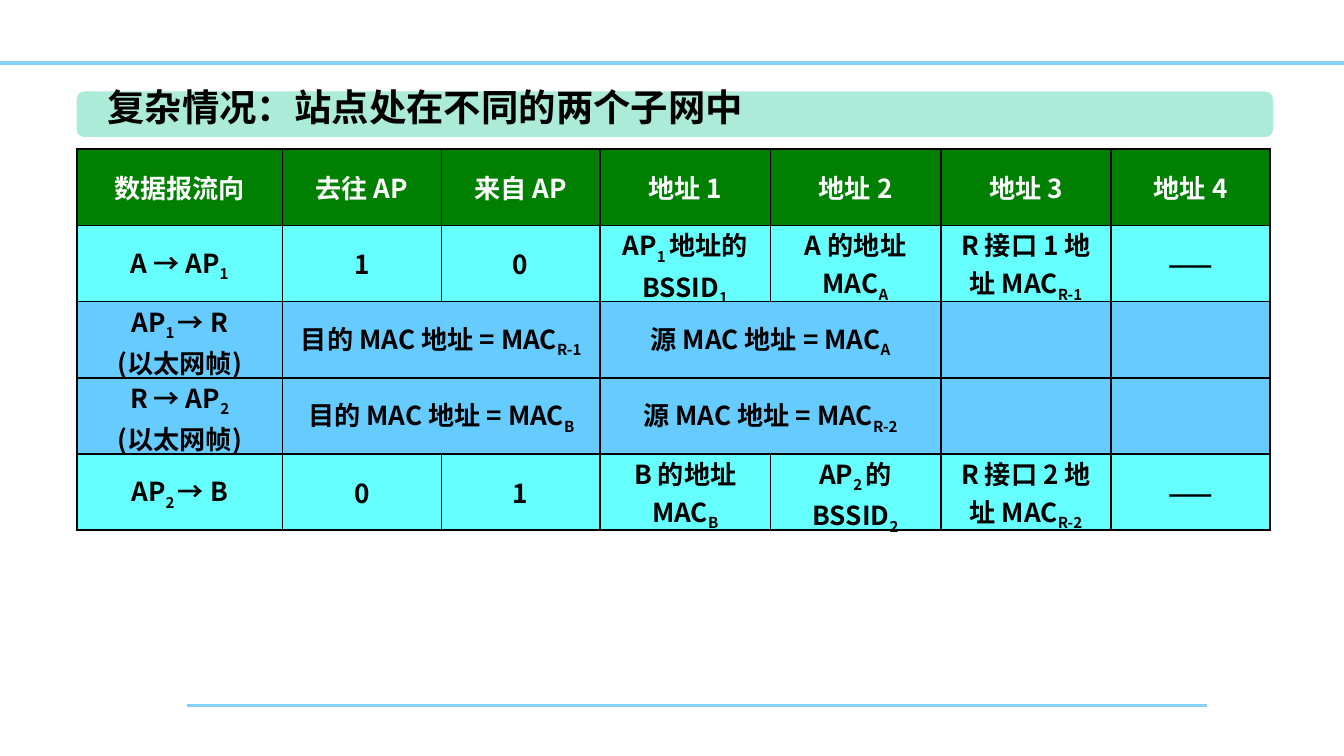
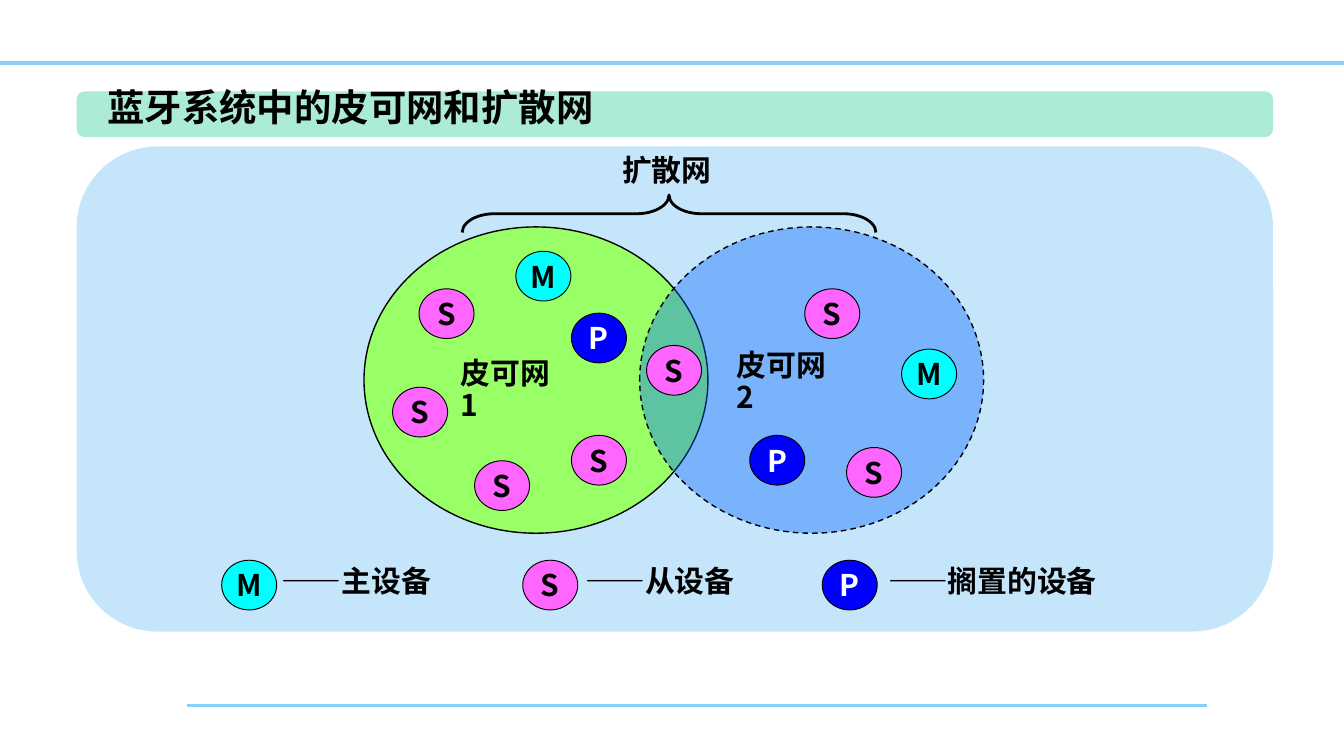
from lxml import etree
from pptx import Presentation
from pptx.dml.color import RGBColor
from pptx.enum.dml import MSO_LINE
from pptx.enum.shapes import MSO_CONNECTOR, MSO_SHAPE
from pptx.enum.text import MSO_ANCHOR, MSO_AUTO_SIZE, PP_ALIGN
from pptx.oxml.ns import qn
from pptx.util import Cm, Pt

ROUNDED, OVAL, BRACE = MSO_SHAPE.ROUNDED_RECTANGLE, MSO_SHAPE.OVAL, MSO_SHAPE.RIGHT_BRACE
STRAIGHT = MSO_CONNECTOR.STRAIGHT
CENTER, MIDDLE = PP_ALIGN.CENTER, MSO_ANCHOR.MIDDLE
GROW, DASH = MSO_AUTO_SIZE.SHAPE_TO_FIT_TEXT, MSO_LINE.DASH

FONT = "Noto Sans CJK SC"
BLACK, WHITE = "000000", "FFFFFF"
RULE, BAND, PANEL = "85D1F7", "ABEBD7", "C5E5FB"
HEADER, WIRELESS, ETHERNET = "008000", "66FFFF", "66CCFF"

# x from, x to, y, width in points
RULES = [(3.53, 22.81, 13.34, 1.5), (0, 25.4, 1.19, 2)]

# Subscripts stand between tildes; None continues the cell to its left.
FRAME_TITLE = "复杂情况：站点处在不同的两个子网中"
FRAME_COLUMNS = [3.89, 3, 3, 3.22, 3.22, 3.22, 3]
FRAME_ROW_HEIGHT = 1.44
FRAME_ROWS = [
    (HEADER, ["数据报流向", "去往 AP", "来自 AP", "地址 1", "地址 2", "地址 3", "地址 4"]),
    (WIRELESS, ["A → AP~1~", "1", "0", "AP~1 ~地址的 BSSID~1~", "A 的地址 MAC~A~",
                "R 接口 1 地址 MAC~R-1~", "——"]),
    (ETHERNET, ["AP~1 ~→ R\n(以太网帧)", "目的 MAC 地址 = MAC~R-1~", None,
                "源 MAC 地址 = MAC~A~", None, "", ""]),
    (ETHERNET, ["R → AP~2~\n(以太网帧)", "目的 MAC 地址 = MAC~B~", None,
                "源 MAC 地址 = MAC~R-2~", None, "", ""]),
    (WIRELESS, ["AP~2 ~→ B", "0", "1", "B 的地址 MAC~B~", "AP~2 ~的BSSID~2~",
                "R 接口 2 地址 MAC~R-2~", "——"]),
]

PICONET_TITLE = "蓝牙系统中的皮可网和扩散网"
DEVICE_COLORS = {"M": ("00FFFF", BLACK), "S": ("FF66FF", BLACK), "P": ("0000FF", WHITE)}
DEVICE_SIZE = (1.04, 0.94)
DEVICES = {
    "M": [(9.75, 4.75), (17.04, 6.6)],
    "S": [(7.42, 7.32), (7.92, 5.46), (12.22, 6.53), (10.8, 8.23),
          (8.97, 8.71), (16, 8.46), (15.21, 5.46)],
    "P": [(14.17, 8.23), (10.8, 5.92)],
}
LEGEND_TOP = 10.59
# kind, device left, label left, label width, label
LEGEND = [("M", 4.19, 5.08, 3.45, "——主设备"),
          ("S", 9.88, 10.82, 3.45, "——从设备"),
          ("P", 15.54, 16.54, 4.6, "——搁置的设备")]
PICONET_LABELS = [("皮可网 1", 8.46, 6.65), ("皮可网 2", 13.67, 6.5)]


def rgb(color):
    return RGBColor.from_string(color)


def cm(*lengths):
    return [Cm(length) for length in lengths]


def add_run(paragraph, text, size, color=BLACK, subscript=False):
    run = paragraph.add_run()
    run.text = text
    for name, value in {"size": Pt(size), "bold": True, "name": FONT}.items():
        setattr(run.font, name, value)
    run.font.color.rgb = rgb(color)
    properties = run.font._element
    etree.SubElement(properties, qn("a:ea"), typeface=FONT)
    if subscript:
        properties.set("baseline", "-25000")


def add_figure(slide, kind, box, fill=None, line=None):
    shape = slide.shapes.add_shape(kind, *cm(*box))
    shape.shadow.inherit = False
    if fill:
        shape.fill.solid()
        shape.fill.fore_color.rgb = rgb(fill)
    else:
        shape.fill.background()
    if line:
        shape.line.color.rgb = rgb(BLACK)
        shape.line.width = Pt(line)
    else:
        shape.line.fill.background()
    return shape


def add_label(slide, text, box, size=16, wrap=False):
    frame = slide.shapes.add_textbox(*cm(*box)).text_frame
    frame.word_wrap = wrap
    frame.auto_size = GROW
    frame.paragraphs[0].line_spacing = 0.9
    add_run(frame.paragraphs[0], text, size)
    return frame


def add_device(slide, kind, left, top):
    fill, color = DEVICE_COLORS[kind]
    frame = add_figure(slide, OVAL, (left, top, *DEVICE_SIZE), fill, 0.5).text_frame
    frame.word_wrap = False
    frame.vertical_anchor = MIDDLE
    frame.paragraphs[0].alignment = CENTER
    add_run(frame.paragraphs[0], kind, 16, color)


def add_base_slide(deck, title):
    """Blank slide with the two rules and the title on its band."""
    slide = deck.slides.add_slide(deck.slide_layouts[6])
    for start, end, y, width in RULES:
        rule = slide.shapes.add_connector(STRAIGHT, *cm(start, y, end, y))
        rule.line.color.rgb = rgb(RULE)
        rule.line.width = Pt(width)
        etree.SubElement(rule._element.spPr, qn("a:effectLst"))
    add_figure(slide, ROUNDED, (1.45, 1.73, 22.61, 0.86), BAND)
    add_label(slide, title, (1.78, 1.57, 0.97 * len(title) * 0.73 + 0.8, 1.12), 20)
    return slide


def format_cell(cell, fill):
    margins = {"margin_left": 0.18, "margin_right": 0.18, "margin_top": 0, "margin_bottom": 0}
    for name, value in margins.items():
        setattr(cell, name, Cm(value))
    cell.vertical_anchor = MIDDLE
    properties = cell._tc.get_or_add_tcPr()
    for side in "LRTB":
        border = etree.SubElement(properties, qn(f"a:ln{side}"), w=str(Pt(1)))
        paint = etree.SubElement(border, qn("a:solidFill"))
        etree.SubElement(paint, qn("a:srgbClr"), val=BLACK)
    cell.fill.solid()
    cell.fill.fore_color.rgb = rgb(fill)


def write_cell(cell, text, color):
    frame = cell.text_frame
    for index, line in enumerate(text.split("\n")):
        paragraph = frame.add_paragraph() if index else frame.paragraphs[0]
        paragraph.alignment = CENTER
        for position, part in enumerate(line.split("~")):
            if part:
                add_run(paragraph, part, 14, color, subscript=position % 2 == 1)


def build_frame_slide(deck):
    slide = add_base_slide(deck, FRAME_TITLE)
    size = (sum(FRAME_COLUMNS), FRAME_ROW_HEIGHT * len(FRAME_ROWS))
    table = slide.shapes.add_table(len(FRAME_ROWS), len(FRAME_COLUMNS),
                                   *cm(1.45, 2.82, *size)).table
    for column, width in zip(table.columns, FRAME_COLUMNS):
        column.width = Cm(width)
    for r, (fill, texts) in enumerate(FRAME_ROWS):
        table.rows[r].height = Cm(FRAME_ROW_HEIGHT)
        for c, text in enumerate(texts):
            cell = table.cell(r, c)
            format_cell(cell, fill)
            if text is None:
                table.cell(r, c - 1).merge(cell)
            else:
                write_cell(cell, text, WHITE if fill == HEADER else BLACK)


def build_piconet_slide(deck):
    slide = add_base_slide(deck, PICONET_TITLE)
    add_figure(slide, ROUNDED, (1.45, 2.77, 22.61, 9.17), PANEL)
    add_figure(slide, OVAL, (6.88, 4.29, 6.5, 5.79), "99FF66", 0.75)
    second = add_figure(slide, OVAL, (12.09, 4.29, 6.5, 5.79), "0066FF", 0.75)
    second.line.dash_style = DASH
    tint = second._element.spPr.find(qn("a:solidFill")).find(qn("a:srgbClr"))
    etree.SubElement(tint, qn("a:alpha"), val="39000")

    for kind, places in DEVICES.items():
        for left, top in places:
            add_device(slide, kind, left, top)
    add_label(slide, "扩散网", (11.51, 2.82, 2.24, 0.94))
    brace = add_figure(slide, BRACE, (12.29, 0.13, 0.71, 7.82), line=1.5)
    brace.rotation = 270
    brace.adjustments[0] = 0.86
    for text, left, top in PICONET_LABELS:
        add_label(slide, text, (left, top, 2.74, 0.94), wrap=True).margin_right = Cm(0.5)
    for kind, left, label_left, width, text in LEGEND:
        add_device(slide, kind, left, LEGEND_TOP)
        add_label(slide, text, (label_left, LEGEND_TOP, width, 0.94))


def main():
    deck = Presentation()
    deck.slide_width, deck.slide_height = cm(25.4, 14.29)
    build_frame_slide(deck)
    build_piconet_slide(deck)
    deck.save("out.pptx")


if __name__ == "__main__":
    main()
